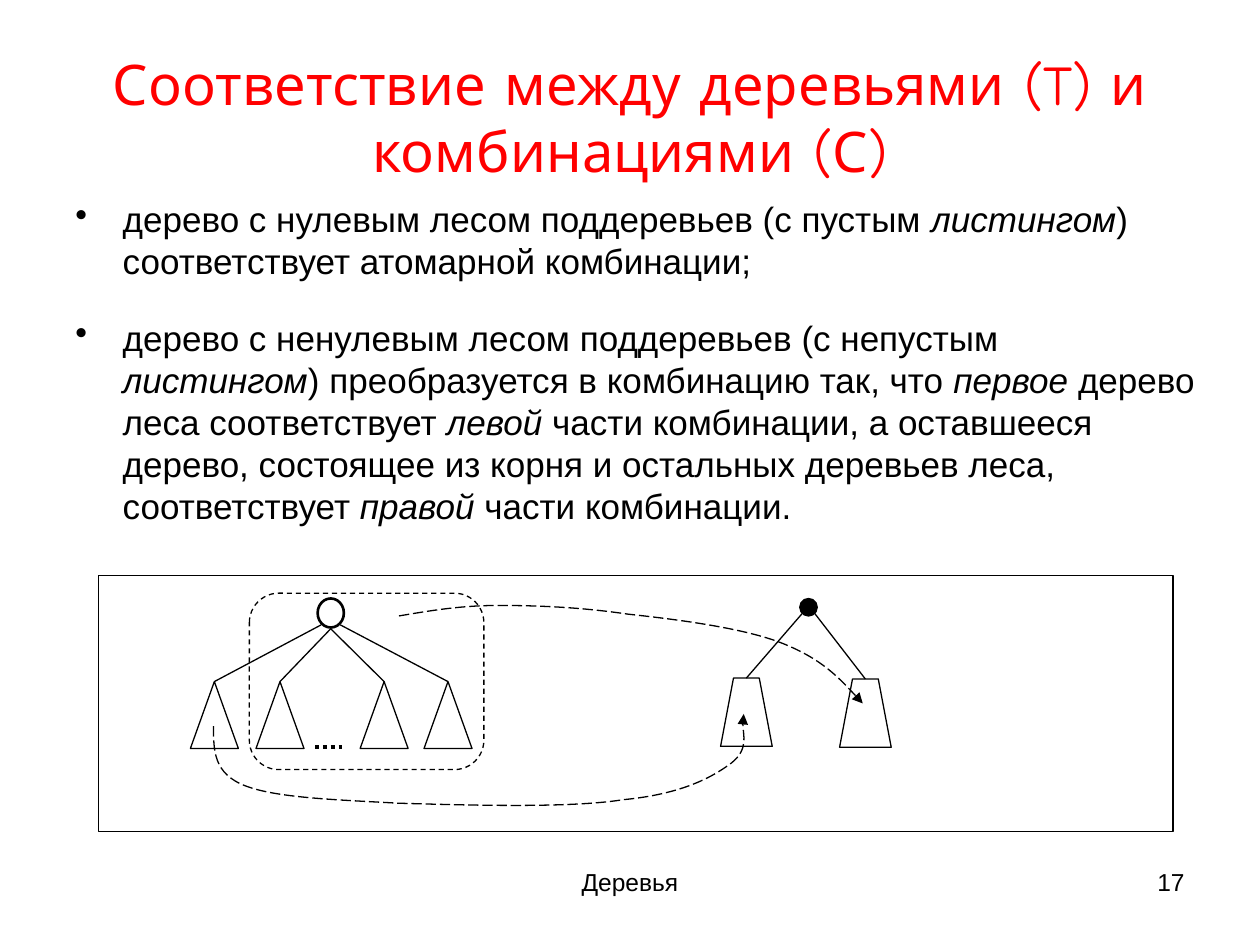
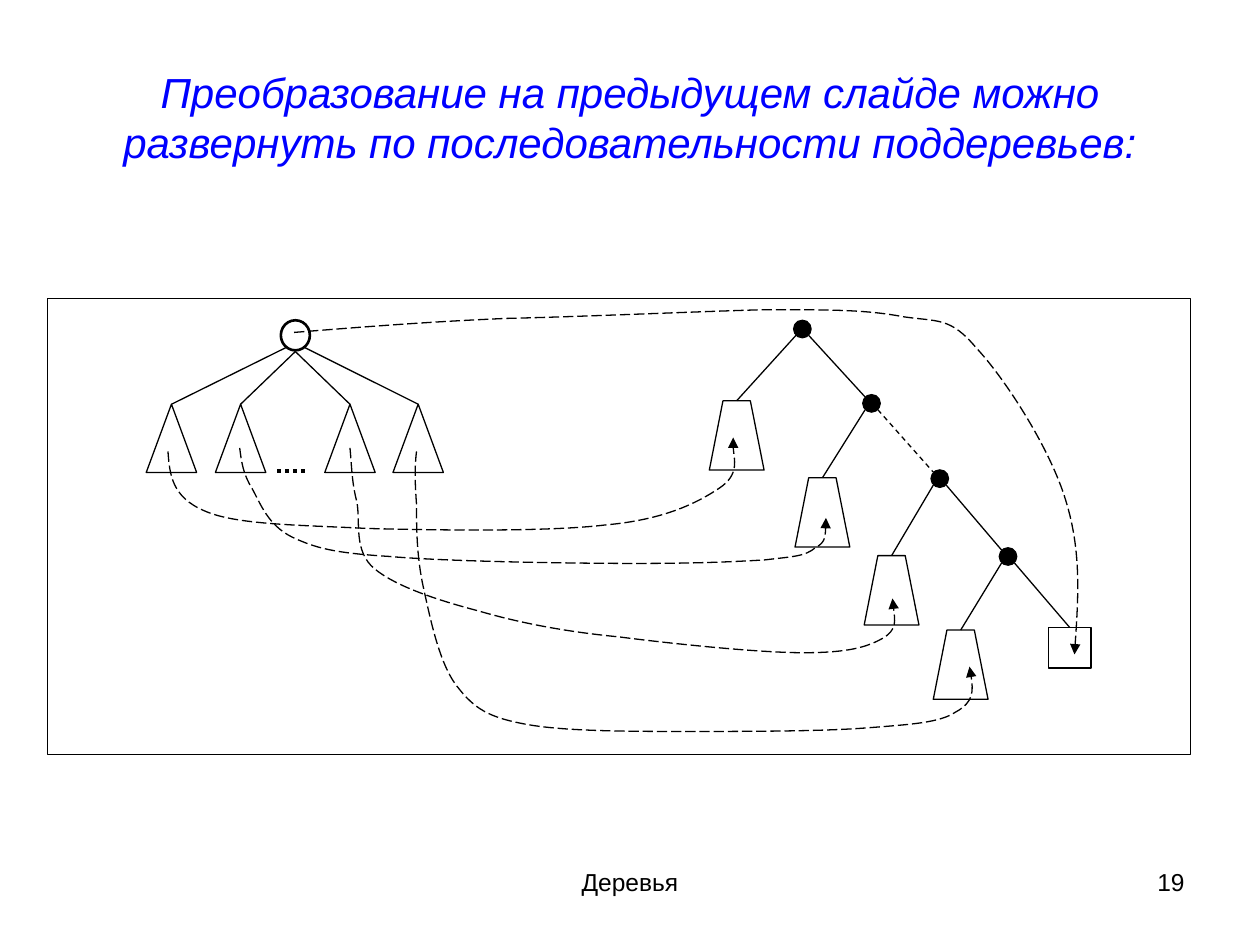
"""Build two slides that show how trees turn into combinations."""
import dataclasses

import pptx
import pptx.dml.color
import pptx.enum.dml
import pptx.enum.shapes
import pptx.enum.text
import pptx.oxml.ns
import pptx.util
from lxml import etree

Pt = pptx.util.Pt
RGB = pptx.dml.color.RGBColor
Dash = pptx.enum.dml.MSO_LINE
Preset = pptx.enum.shapes.MSO_SHAPE
Align = pptx.enum.text.PP_ALIGN
Anchor = pptx.enum.text.MSO_ANCHOR
qn = pptx.oxml.ns.qn


@dataclasses.dataclass(frozen=True)
class Theme:
    black: RGB = RGB(0, 0, 0)
    white: RGB = RGB(255, 255, 255)
    red: RGB = RGB(255, 0, 0)
    blue: RGB = RGB(0, 0, 255)
    font: str = "Arial"
    display_font: str = "Comic Neue"
    title_size: float = 32
    subtitle_size: float = 24
    body_size: float = 20
    footer_size: float = 14
    leading: float = 1.2
    thin: float = 0.75
    bold: float = 1.5
    dotted: float = 2.25


class SlideWriter:
    def __init__(self, deck, theme):
        self.deck = deck
        self.theme = theme
        self.page = None

    def new_page(self, number):
        self.page = self.deck.slides.add_slide(self.deck.slide_layouts[6])
        size = self.theme.footer_size
        self.text((246, 492, 228, 37.5), "Деревья", size, Align.CENTER)
        self.text((516, 492, 168, 37.5), str(number), size, Align.RIGHT)

    def text_frame(self, bounds):
        box = self.page.shapes.add_textbox(*map(Pt, bounds))
        box.text_frame.word_wrap = True
        return box.text_frame

    def style(self, para, size, align, color=None, font=None, italic=None):
        para.alignment = align
        para.line_spacing = Pt(size * self.theme.leading)
        para.font.size = Pt(size)
        para.font.name = font or self.theme.font
        para.font.color.rgb = color or self.theme.black
        para.font.italic = italic

    def text(self, bounds, words, size, align, **look):
        frame = self.text_frame(bounds)
        frame.text = words
        self.style(frame.paragraphs[0], size, align, **look)
        return frame

    def title(self, words, size, **look):
        frame = self.text((36, 21.6, 648, 90), words, size, Align.CENTER, **look)
        frame.vertical_anchor = Anchor.MIDDLE

    def bullets(self, bounds, items, gap):
        """Write bulleted paragraphs; asterisks enclose italic words."""
        frame = self.text_frame(bounds)
        for index, item in enumerate(items):
            para = frame.add_paragraph() if index else frame.paragraphs[0]
            self.style(para, self.theme.body_size, Align.LEFT)
            para.space_before = Pt(gap if index else 0)
            for position, words in enumerate(item.split("*")):
                span = para.add_run()
                span.text = words
                if position % 2:
                    span.font.italic = True
            properties = para._p.get_or_add_pPr()
            properties.set("marL", str(Pt(27)))
            properties.set("indent", str(-Pt(27)))
            bullet = etree.Element(qn("a:buChar"))
            bullet.set("char", "•")
            properties.find(qn("a:defRPr")).addprevious(bullet)

    def outline(self, shape, fill=None, width=None, dash=None):
        shape.shadow.inherit = False
        if fill is None:
            shape.fill.background()
        else:
            shape.fill.solid()
            shape.fill.fore_color.rgb = fill
        self.stroke(shape.line, width, dash)
        return shape

    def stroke(self, line, width=None, dash=None):
        line.color.rgb = self.theme.black
        line.width = Pt(width or self.theme.thin)
        if dash is not None:
            line.dash_style = dash

    def shape(self, preset, bounds, **look):
        shape = self.page.shapes.add_shape(preset, *map(Pt, bounds))
        return self.outline(shape, **look)

    def line(self, start, end, **look):
        kind = pptx.enum.shapes.MSO_CONNECTOR.STRAIGHT
        link = self.page.shapes.add_connector(kind, *map(Pt, start + end))
        self.stroke(link.line, **look)
        etree.SubElement(link._element.spPr, qn("a:effectLst"))

    def freeform(self, points, close, **look):
        first, *rest = [(Pt(x), Pt(y)) for x, y in points]
        builder = self.page.shapes.build_freeform(*first)
        builder.add_line_segments(rest, close=close)
        return self.outline(builder.convert_to_shape(), **look)

    def curved_arrow(self, points):
        """Draw a dashed arrow through a start and triples of Bezier points."""
        arrow = self.freeform(points, False, dash=Dash.LONG_DASH)
        steps = list(arrow._element.iter(qn("a:lnTo")))
        for curve, second, third in zip(steps[::3], steps[1::3], steps[2::3]):
            curve.tag = qn("a:cubicBezTo")
            for step in (second, third):
                curve.append(step[0])
                step.getparent().remove(step)
        outline = arrow._element.spPr.find(qn("a:ln"))
        etree.SubElement(outline, qn("a:tailEnd")).set("type", "triangle")

    def tree(self, root, apexes, top, subtree, dots_left):
        """Draw a ring root with triangular subtrees and an ellipsis."""
        left, root_top, width, height = root
        center, bottom = left + width / 2, root_top + height
        base_width, base_height = subtree
        self.shape(Preset.OVAL, root, width=self.theme.bold)
        for apex in apexes:
            bounds = (apex - base_width / 2, top, base_width, base_height)
            self.shape(Preset.ISOSCELES_TRIANGLE, bounds, fill=self.theme.white)
        starts = ((-5.5, -1.5), (0, 0.7), (0, 0.7), (5.5, -1.5))
        for apex, (shift, drop) in zip(apexes, starts):
            self.line((center + shift, bottom + drop), (apex, top))
        dots_y = top + base_height - 0.7
        self.line((dots_left, dots_y), (dots_left + 17.5, dots_y),
                  width=self.theme.dotted, dash=Dash.ROUND_DOT)

    def node(self, center, size=10):
        x, y = center
        bounds = (x - size / 2, y - size / 2, size, size)
        self.shape(Preset.OVAL, bounds, fill=self.theme.black)

    def trapezoid(self, top_center, size):
        x, y = top_center
        width, height = size
        corners = [(x - width / 4, y), (x + width / 4, y),
                   (x + width / 2, y + height), (x - width / 2, y + height)]
        self.freeform(corners, True, fill=self.theme.white)

    def branch(self, node, target, side, **look):
        self.line((node[0] + side * 3.6, node[1] + 3.6), target, **look)


RULES = (
    "дерево с нулевым лесом поддеревьев (с пустым *листингом*) "
    "соответствует атомарной комбинации;",
    "дерево с ненулевым лесом поддеревьев (с непустым *листингом*) "
    "преобразуется в комбинацию так, что *первое* дерево леса соответствует "
    "*левой* части комбинации, а оставшееся дерево, состоящее из корня и "
    "остальных деревьев леса, соответствует *правой* части комбинации.",
)

FIRST_TREE_TO_LEFT = (
    (122, 415), (122, 429), (122, 442), (140, 449), (158, 456), (192, 457),
    (228, 459), (264, 460), (325, 462), (356, 457), (388, 454), (406, 445),
    (418, 436), (428, 428), (423, 413), (425, 408))
REST_TO_RIGHT = (
    (228, 352), (246, 349), (263, 346), (285, 346), (307, 346), (332, 347),
    (359, 351), (387, 354), (426, 359), (448, 368), (470, 377), (482, 390),
    (493, 402))

UNROLLED_ARROWS = (
    ((96, 258), (97, 271), (98, 284), (117, 292), (135, 300), (171, 300),
     (210, 302), (248, 303), (313, 304), (346, 300), (380, 297), (399, 287),
     (411, 279), (423, 271), (418, 256), (419, 250)),
    ((137, 256), (138, 264), (139, 271), (144, 279), (149, 288), (153, 300),
     (167, 307), (180, 313), (190, 316), (222, 318), (256, 321), (328, 322),
     (364, 322), (400, 322), (420, 321), (437, 320), (454, 318), (460, 318),
     (466, 313), (472, 310), (472, 302), (472, 296)),
    ((200, 256), (201, 266), (201, 276), (204, 287), (206, 299), (202, 315),
     (214, 325), (226, 335), (250, 343), (273, 349), (297, 356), (323, 361),
     (354, 364), (385, 368), (434, 373), (459, 373), (484, 373), (495, 370),
     (504, 365), (513, 360), (511, 351), (510, 342)),
    ((238, 258), (237, 266), (237, 275), (238, 288), (238, 301), (238, 318),
     (242, 336), (246, 354), (251, 379), (261, 392), (271, 405), (279, 410),
     (301, 414), (323, 418), (361, 418), (393, 418), (426, 418), (469, 418),
     (495, 416), (521, 414), (537, 413), (546, 407), (557, 401), (556, 391),
     (554, 381)),
    ((168, 190), (206, 187), (243, 184), (289, 182), (333, 181), (400, 178),
     (437, 177), (475, 177), (495, 177), (516, 181), (536, 184), (543, 181),
     (558, 199), (574, 216), (600, 256), (609, 286), (618, 315), (616, 345),
     (614, 374)),
)


def correspondence_page(writer):
    theme = writer.theme
    writer.new_page(17)
    writer.title("Соответствие между деревьями (T) и комбинациями (С)",
                 theme.title_size, color=theme.red, font=theme.display_font)
    writer.bullets((36, 109.5, 654.5, 212.5), RULES, gap=19.5)
    writer.shape(Preset.RECTANGLE, (56.2, 329, 614.2, 146.2))
    writer.shape(Preset.ROUNDED_RECTANGLE, (142.5, 339, 134, 100.8),
                 fill=theme.white, dash=Dash.DASH)
    writer.tree((181.5, 342, 15, 16.6), (122.5, 160, 219.5, 256), 389.5,
                (27.4, 38.2), dots_left=180)
    root = (462, 347)
    writer.node(root)
    for target, side in (((426.5, 387.5), -1), ((494.5, 388), 1)):
        writer.trapezoid(target, (29.5, 39))
        writer.branch(root, target, side)
    writer.curved_arrow(FIRST_TREE_TO_LEFT)
    writer.curved_arrow(REST_TO_RIGHT)


def unrolled_page(writer):
    theme = writer.theme
    writer.new_page(19)
    writer.title("Преобразование на предыдущем слайде можно развернуть "
                 "по последовательности поддеревьев:",
                 theme.subtitle_size, color=theme.blue, italic=True)
    writer.shape(Preset.RECTANGLE, (27.2, 170.5, 653, 260.7))
    writer.tree((160.5, 183, 16.6, 17.2), (98, 137.5, 200, 239), 231,
                (28.8, 39), dots_left=158.5)
    nodes = ((458.5, 188), (498, 230.5), (537, 273.5), (576, 318))
    left_tops = ((421, 229), (470, 273), (509.5, 317.5), (549, 360))
    atom = (611.3, 358.6)
    ends = [(x - 3.6, y - 3.6) for x, y in nodes[1:]] + [atom]
    dashes = (None, Dash.DASH, None, None)
    for node, left_top, end, dash in zip(nodes, left_tops, ends, dashes):
        writer.node(node)
        writer.trapezoid(left_top, (31.3, 39.6))
        writer.branch(node, left_top, -1)
        writer.branch(node, end, 1, dash=dash)
    writer.shape(Preset.RECTANGLE, (atom[0] - 12.2, atom[1], 24.4, 23.2),
                 fill=theme.white)
    for points in UNROLLED_ARROWS:
        writer.curved_arrow(points)


def main():
    deck = pptx.Presentation()
    deck.slide_width, deck.slide_height = Pt(720), Pt(540)
    writer = SlideWriter(deck, Theme())
    correspondence_page(writer)
    unrolled_page(writer)
    deck.save("out.pptx")


if __name__ == "__main__":
    main()
